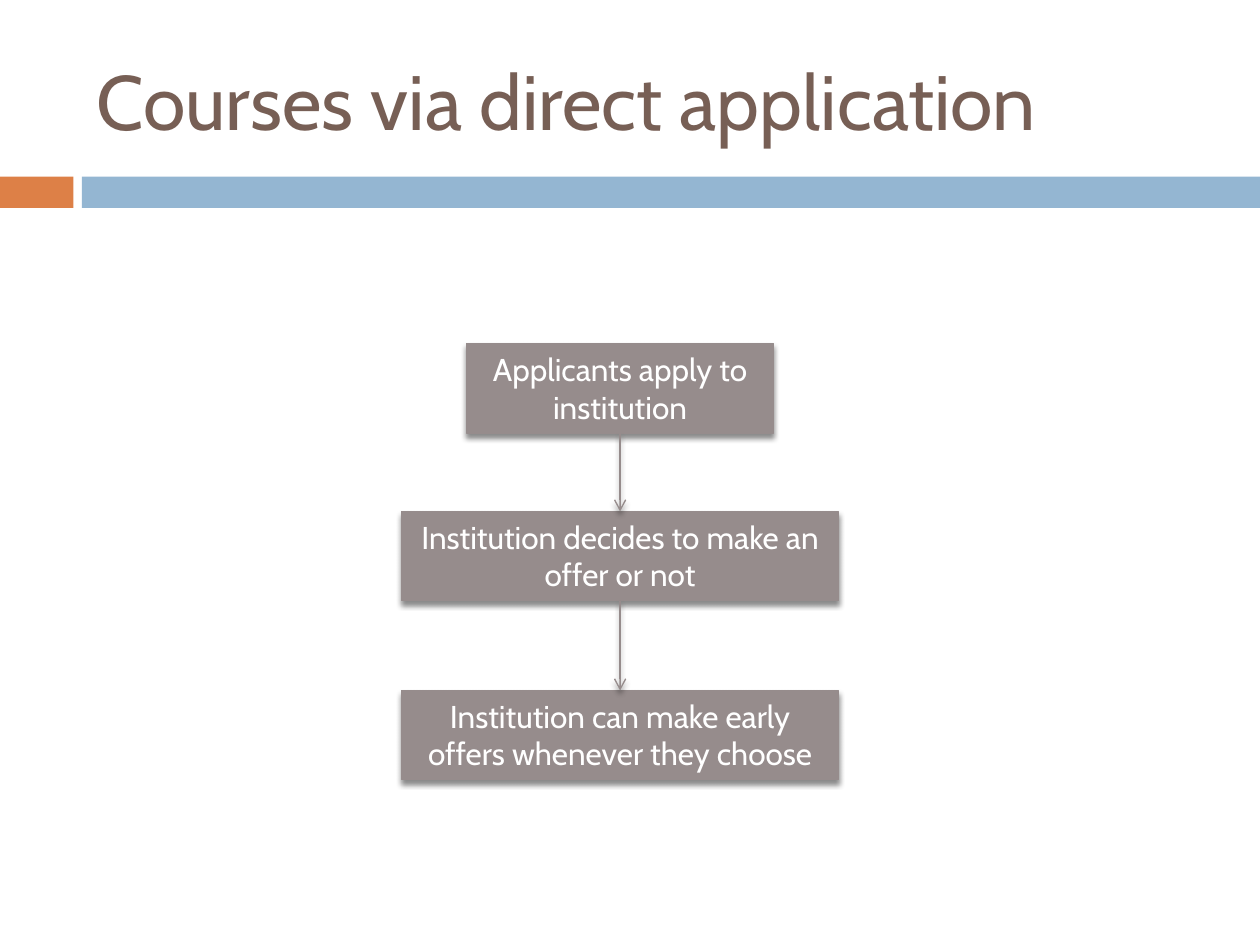
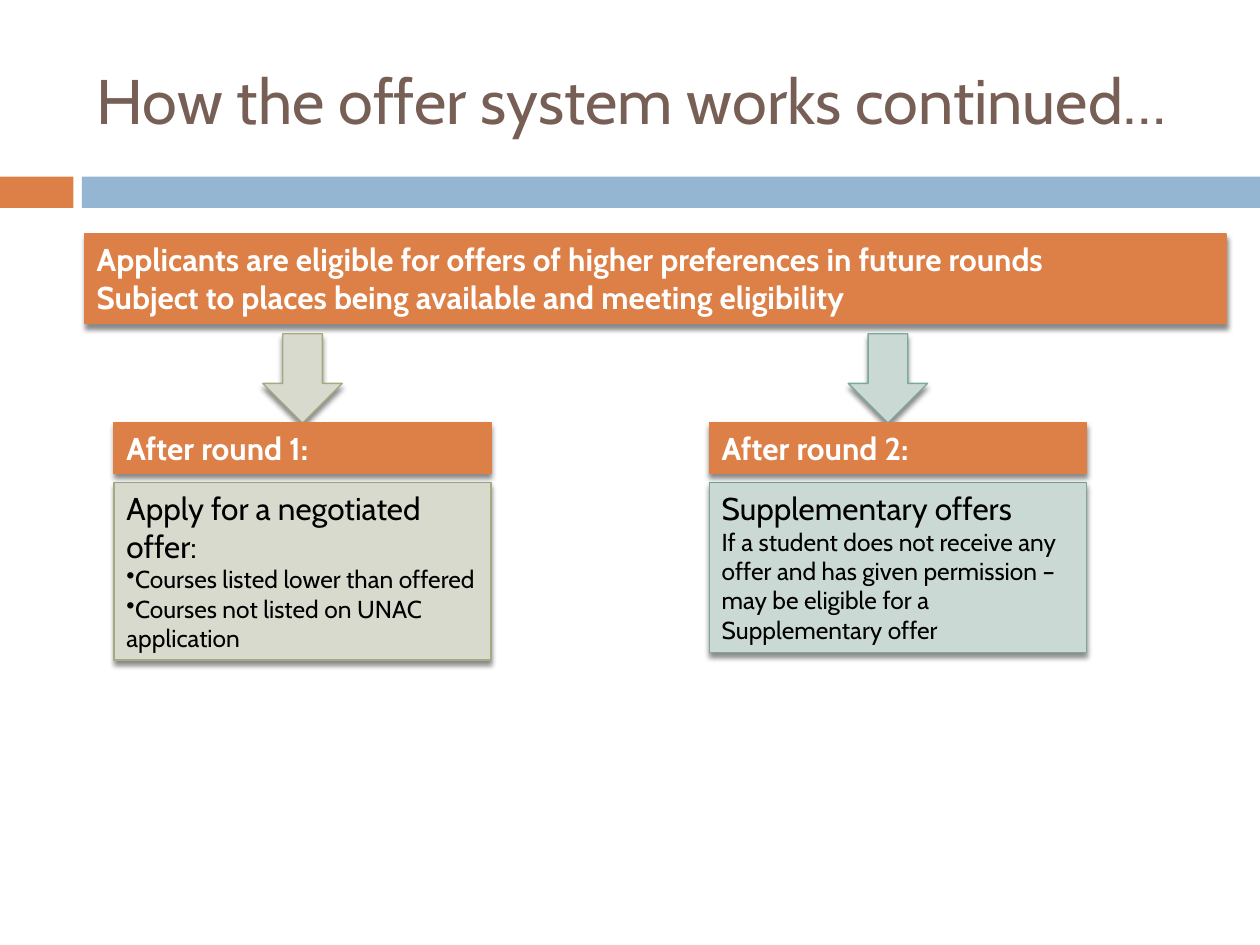
from dataclasses import dataclass

from lxml.etree import SubElement
from pptx import Presentation
from pptx.dml.color import RGBColor
from pptx.enum.shapes import MSO_CONNECTOR, MSO_SHAPE
from pptx.enum.text import MSO_ANCHOR, MSO_AUTO_SIZE, PP_ALIGN
from pptx.oxml.ns import qn
from pptx.util import Cm, Pt

FONT = "Cabin"
BROWN, ORANGE, BLUE = "775F55", "DD8047", "94B6D2"
GREY, WHITE, BLACK = "968C8C", "FFFFFF", "000000"
LINE_WIDTH = Pt(0.79)


@dataclass
class Para:
    lines: list[str]
    size: int = 18
    color: str = WHITE
    bold: bool = False
    bullet: bool = False
    align: PP_ALIGN = PP_ALIGN.LEFT


@dataclass
class Box:
    left: float
    top: float
    width: float
    height: float
    fill: str
    line: str | None = None
    paras: tuple[Para, ...] = ()
    kind: MSO_SHAPE = MSO_SHAPE.RECTANGLE


@dataclass
class Step:
    text: str
    top: float
    width: float


@dataclass
class Round:
    heading: str
    left: float
    arrow_left: float
    detail_height: float
    fill: str
    line: str
    details: tuple[Para, ...]


def rgb(color: str) -> RGBColor:
    return RGBColor.from_string(color)


def add_shadow(effects) -> None:
    outer = SubElement(effects, qn("a:outerShdw"), blurRad="38100", dist="30480",
                       dir="5400000", rotWithShape="0")
    color = SubElement(outer, qn("a:srgbClr"), val=BLACK)
    SubElement(color, qn("a:alpha"), val="45000")


def write(tf, paras: tuple[Para, ...]) -> None:
    tf.word_wrap = True
    for i, para in enumerate(paras):
        p = tf.add_paragraph() if i else tf.paragraphs[0]
        p.alignment = para.align
        if para.bullet:
            SubElement(p._p.get_or_add_pPr(), qn("a:buChar"), char="•")
        for j, line in enumerate(para.lines):
            if j:
                p.add_line_break()
            r = p.add_run()
            r.text = line
            r.font.name, r.font.size = FONT, Pt(para.size)
            r.font.bold = para.bold
            r.font.color.rgb = rgb(para.color)


def add_box(slide, box: Box) -> None:
    sp = slide.shapes.add_shape(box.kind, Cm(box.left), Cm(box.top),
                                Cm(box.width), Cm(box.height))
    sp.fill.solid()
    sp.fill.fore_color.rgb = rgb(box.fill)
    sp.shadow.inherit = False
    if box.line:
        sp.line.color.rgb = rgb(box.line)
        sp.line.width = LINE_WIDTH
        add_shadow(sp._element.spPr.find(qn("a:effectLst")))
    else:
        sp.line.fill.background()
    if box.paras:
        write(sp.text_frame, box.paras)
        sp.text_frame.vertical_anchor = MSO_ANCHOR.TOP
        sp.text_frame.auto_size = MSO_AUTO_SIZE.SHAPE_TO_FIT_TEXT


def add_arrow(slide, x: float, top: float, bottom: float) -> None:
    cn = slide.shapes.add_connector(MSO_CONNECTOR.STRAIGHT, Cm(x), Cm(top), Cm(x), Cm(bottom))
    cn.line.color.rgb = rgb(GREY)
    cn.line.width = LINE_WIDTH
    SubElement(cn.line._get_or_add_ln(), qn("a:tailEnd"), type="arrow")
    add_shadow(SubElement(cn._element.spPr, qn("a:effectLst")))


def new_slide(prs, title: str, size: int):
    """Add a slide with the two bands and the title."""
    slide = prs.slides.add_slide(prs.slide_layouts[6])
    add_box(slide, Box(0, 3.56, 1.48, 0.63, ORANGE))
    add_box(slide, Box(1.65, 3.56, 23.75, 0.63, BLUE))
    tf = slide.shapes.add_textbox(Cm(1.7), Cm(0.64), Cm(22.65), Cm(2.74)).text_frame
    tf.vertical_anchor = MSO_ANCHOR.MIDDLE
    write(tf, (Para([title], size, BROWN),))
    return slide


# Direct application flow
STEP_CENTER, STEP_HEIGHT = 12.5, 1.8
STEPS = [
    Step("Applicants apply to institution", 6.93, 6.2),
    Step("Institution decides to make an offer or not", 10.31, 8.8),
    Step("Institution can make early offers whenever they choose", 13.92, 8.8),
]


def direct_application(prs) -> None:
    slide = new_slide(prs, "Courses via direct application", 44)
    for step in STEPS:
        text = Para([step.text], align=PP_ALIGN.CENTER)
        add_box(slide, Box(STEP_CENTER - step.width / 2, step.top, step.width, STEP_HEIGHT,
                           GREY, GREY, (text,)))
    for step, following in zip(STEPS, STEPS[1:]):
        add_arrow(slide, STEP_CENTER, step.top + STEP_HEIGHT, following.top)


# Offer rounds
ROUND_WIDTH = 7.6
ROUNDS = [
    Round("After round 1:", 2.3, 5.3, 3.58, "D8DACD", "A5AB81", (
        Para(["Apply for a negotiated offer:"], 18, BLACK),
        Para(["Courses listed lower than offered"], 14, BLACK, bullet=True),
        Para(["Courses not listed on UNAC application"], 14, BLACK, bullet=True),
    )),
    Round("After round 2:", 14.3, 17.1, 3.43, "CBD9D5", "7BA79D", (
        Para(["Supplementary offers"], 18, BLACK),
        Para(["If a student does not receive any offer and has given permission – "
              "may be eligible for a Supplementary offer"], 14, BLACK),
    )),
]


def offer_rounds(prs) -> None:
    slide = new_slide(prs, "How the offer system works continued…", 36)
    summary = Para(["Applicants are eligible for offers of higher preferences in future rounds",
                    "Subject to places being available and meeting eligibility"], bold=True)
    add_box(slide, Box(1.7, 4.72, 23.02, 1.8, ORANGE, ORANGE, (summary,)))
    for rnd in ROUNDS:
        add_box(slide, Box(rnd.left, 9.73, ROUND_WIDTH, rnd.detail_height,
                           rnd.fill, rnd.line, rnd.details))
        add_box(slide, Box(rnd.arrow_left, 6.73, 1.6, 1.8, rnd.fill, rnd.line,
                           kind=MSO_SHAPE.DOWN_ARROW))
        add_box(slide, Box(rnd.left, 8.52, ROUND_WIDTH, 1.03, ORANGE, ORANGE,
                           (Para([rnd.heading], bold=True),)))


def main() -> None:
    prs = Presentation()
    prs.slide_width, prs.slide_height = Cm(25.4), Cm(19.05)
    direct_application(prs)
    offer_rounds(prs)
    prs.save("out.pptx")


if __name__ == "__main__":
    main()
